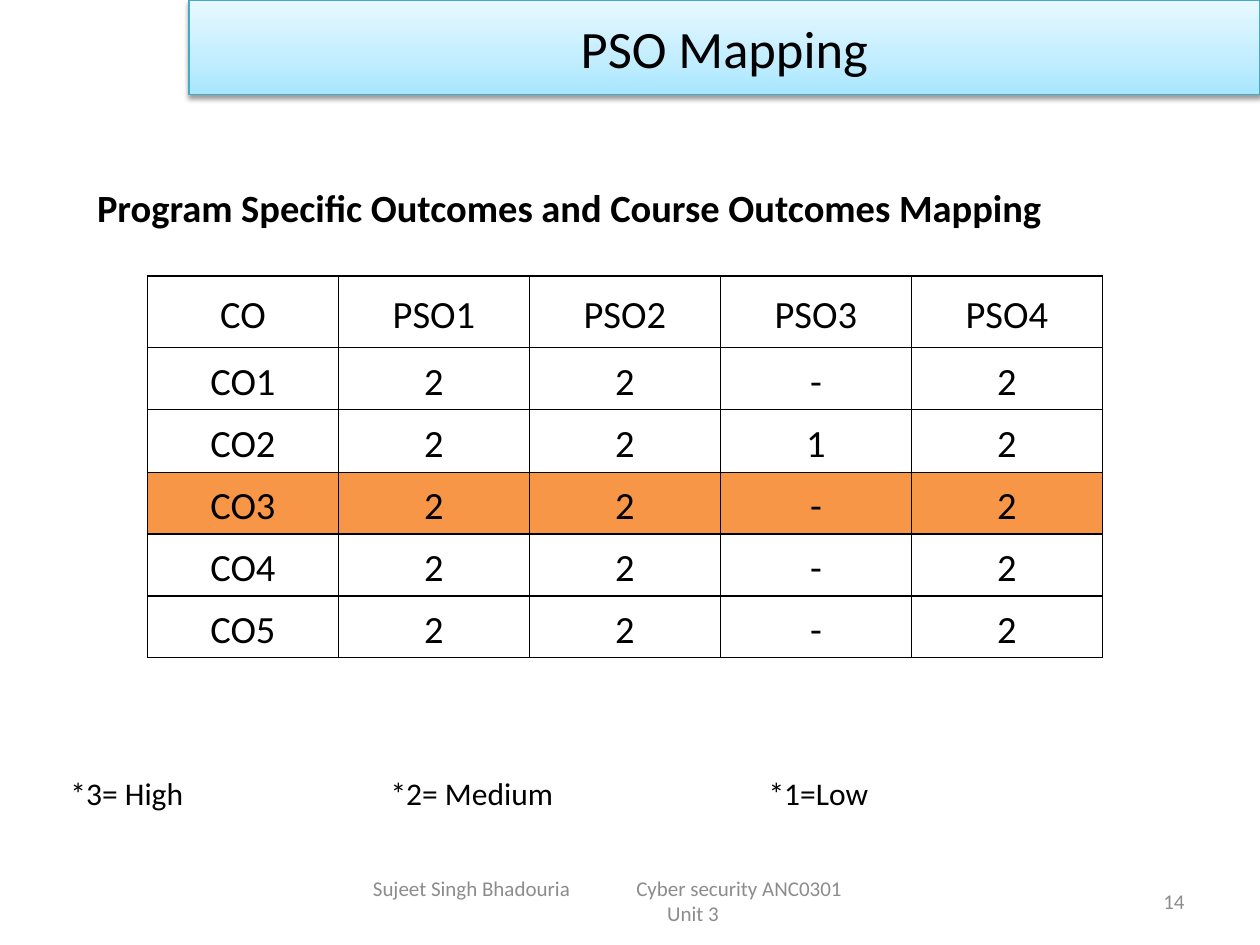
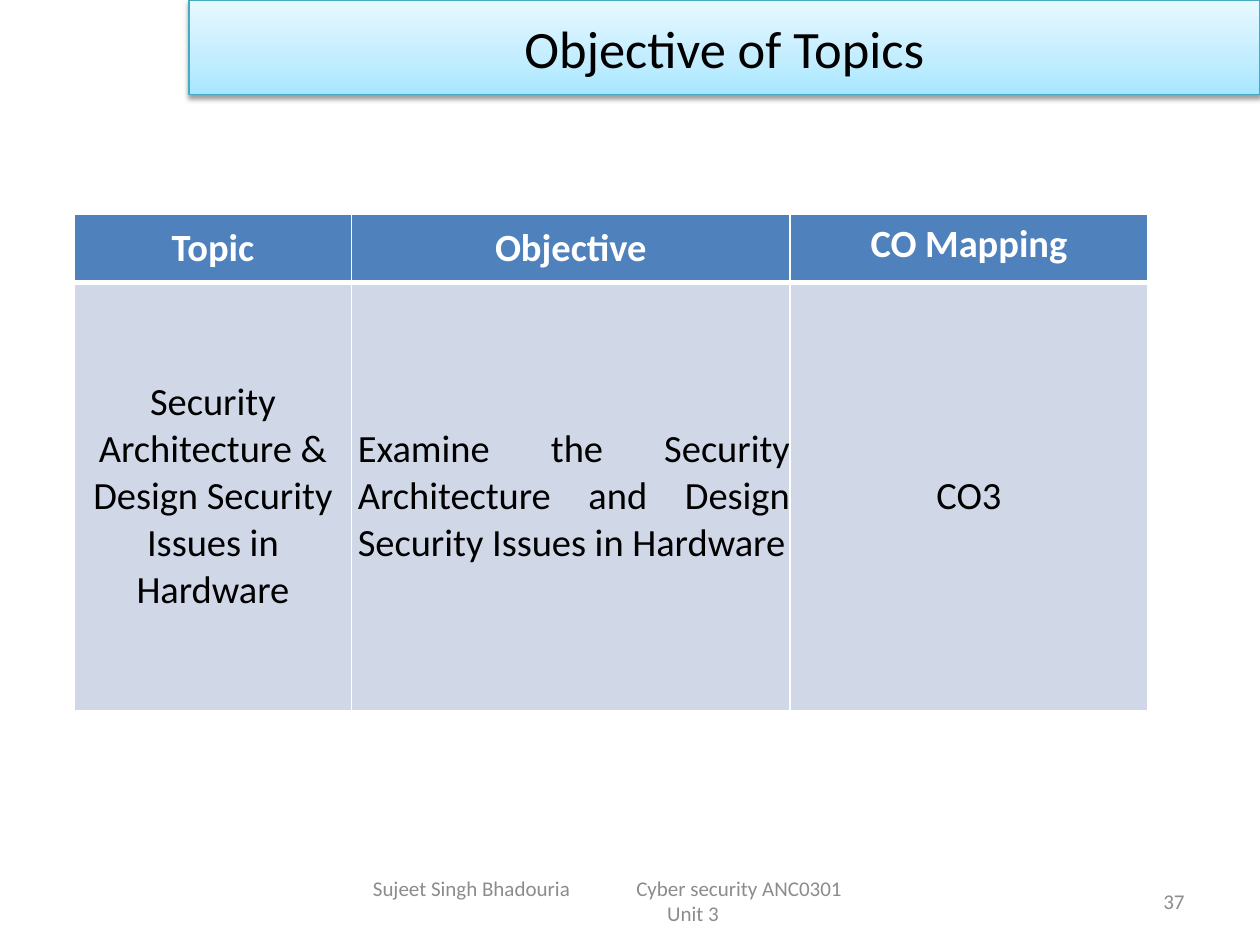
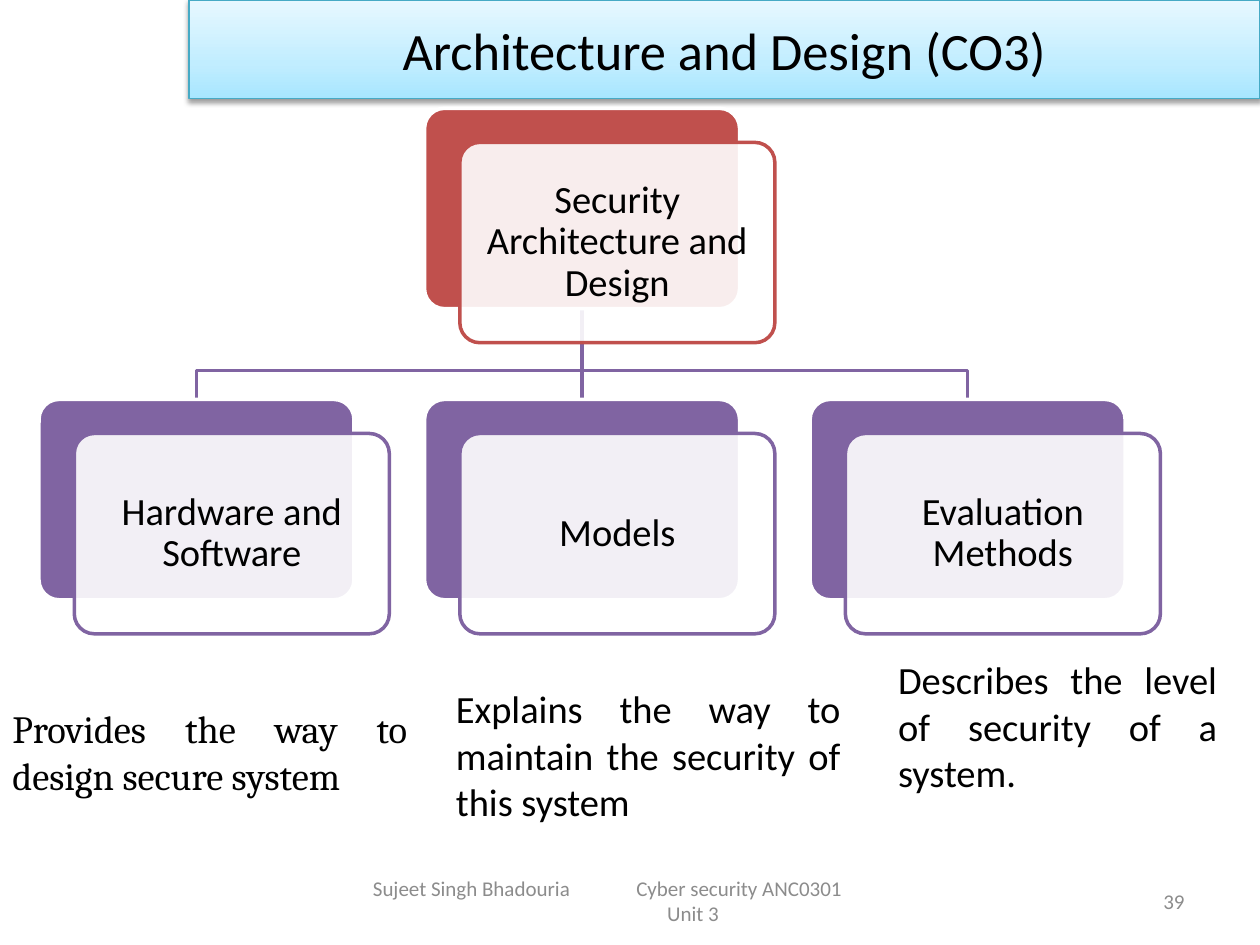
import pptx
import pptx.chart.data
import pptx.dml.color
import pptx.enum.shapes
import pptx.enum.text
import pptx.oxml
import pptx.oxml.ns
import pptx.util
from lxml import etree

Inches = pptx.util.Inches
Pt = pptx.util.Pt
qn = pptx.oxml.ns.qn
ALIGN = pptx.enum.text.PP_ALIGN
ANCHOR = pptx.enum.text.MSO_ANCHOR
SHAPE = pptx.enum.shapes.MSO_SHAPE

COLORS = {
    "black": "000000",
    "white": "FFFFFF",
    "footer": "8C8C8C",
    "band_line": "46AAC5",
    "band_dark": "A7E6FF",
    "band_middle": "C1EDFF",
    "band_light": "E7F8FF",
    "highlight": "F79646",
    "header": "4F81BD",
    "body": "D0D8E8",
    "root": "C0504D",
    "branch": "8064A2",
}
BAND_STOPS = [("band_dark", 0), ("band_middle", 0.35), ("band_light", 1)]
BODY = {"name": "Calibri", "size": Pt(22), "bold": False}
BOLD = {**BODY, "bold": True}
TITLE = {**BODY, "size": Pt(30)}
LEGEND = {**BODY, "size": Pt(18)}
FOOTER = {**BODY, "size": Pt(12)}
SERIF = {**BODY, "name": "Cambria"}
MARGINS = (0.1, 0.05, 0.1, 0.05)


def rgb(color):
    return pptx.dml.color.RGBColor.from_string(COLORS[color])


def add_element(parent, tag, **attributes):
    return etree.SubElement(parent, qn(tag), attributes)


class Deck:
    def __init__(self):
        self.presentation = pptx.Presentation()
        self.presentation.slide_width = Inches(10)
        self.presentation.slide_height = Inches(7.5)
        self.slide = None

    def new_slide(self, title, number, band_height=0.75):
        self.slide = self.presentation.slides.add_slide(self.presentation.slide_layouts[6])
        self.band(title, band_height)
        self.text(2.75, 6.95, 5.5, 0.4, "Sujeet Singh Bhadouria\tCyber security ANC0301", FOOTER,
                  color="footer", anchor=ANCHOR.MIDDLE, margins=(0.21, 0.05, 0.21, 0.05), tabs=[2.09])
        footer = self.slide.shapes[-1].text_frame
        self.paragraph(footer.add_paragraph(), "Unit 3", FOOTER, "footer", ALIGN.CENTER)
        self.text(7.17, 6.95, 2.33, 0.4, number, FOOTER, color="footer",
                  align=ALIGN.RIGHT, anchor=ANCHOR.MIDDLE)

    def paragraph(self, paragraph, text, font, color="black", align=ALIGN.LEFT, spacing=None, tabs=()):
        paragraph.text = text
        paragraph.alignment = align
        paragraph.line_spacing = spacing
        if tabs:
            tab_list = add_element(paragraph._p.get_or_add_pPr(), "a:tabLst")
            for position in tabs:
                add_element(tab_list, "a:tab", pos=str(Inches(position)), algn="l")
        for run in paragraph.runs:
            for name, value in font.items():
                setattr(run.font, name, value)
            run.font.color.rgb = rgb(color)

    def fill_frame(self, frame, text, font, anchor=ANCHOR.TOP, margins=MARGINS, **style):
        frame.word_wrap = True
        frame.vertical_anchor = anchor
        for side, margin in zip(("left", "top", "right", "bottom"), margins):
            setattr(frame, f"margin_{side}", Inches(margin))
        self.paragraph(frame.paragraphs[0], text, font, **style)

    def text(self, left, top, width, height, text, font, **style):
        box = self.slide.shapes.add_textbox(Inches(left), Inches(top), Inches(width), Inches(height))
        self.fill_frame(box.text_frame, text, font, **style)

    def shape(self, kind, left, top, width, height, line, weight):
        shape = self.slide.shapes.add_shape(kind, Inches(left), Inches(top), Inches(width), Inches(height))
        shape.shadow.inherit = False
        shape.line.color.rgb = rgb(line)
        shape.line.width = Pt(weight)
        return shape

    def band(self, title, height):
        band = self.shape(SHAPE.RECTANGLE, 1.5, 0, 8.5, height, "band_line", 0.75)
        band.fill.gradient()
        band.fill.gradient_angle = 90
        properties = band._element.spPr
        stops = properties.find(qn("a:gradFill")).find(qn("a:gsLst"))
        for stop in list(stops):
            stops.remove(stop)
        for color, position in BAND_STOPS:
            stop = add_element(stops, "a:gs", pos=str(int(position * 100000)))
            add_element(stop, "a:srgbClr", val=COLORS[color])
        shadow = add_element(properties.find(qn("a:effectLst")), "a:outerShdw", blurRad=str(Pt(3.1)),
                             dist=str(Pt(1.6)), dir="5400000", rotWithShape="0")
        shade = add_element(shadow, "a:srgbClr", val=COLORS["black"])
        add_element(shade, "a:alpha", val="38000")
        self.fill_frame(band.text_frame, title, TITLE, anchor=ANCHOR.MIDDLE, align=ALIGN.CENTER)

    def table(self, left, top, columns, rows):
        frame = self.slide.shapes.add_table(len(rows), len(columns), Inches(left), Inches(top),
                                            Inches(sum(columns)), Inches(sum(rows)))
        table = frame.table
        table.first_row = table.horz_banding = False
        for column, width in zip(table.columns, columns):
            column.width = Inches(width)
        for row, height in zip(table.rows, rows):
            row.height = Inches(height)
        return table

    def cell(self, cell, text, font, fill, border, bottom=1, anchor=ANCHOR.MIDDLE,
             margins=MARGINS, **style):
        cell.vertical_anchor = anchor
        for side, margin in zip(("left", "top", "right", "bottom"), margins):
            setattr(cell, f"margin_{side}", Inches(margin))
        properties = cell._tc.get_or_add_tcPr()
        for side, weight in zip("LRTB", (1, 1, 1, bottom)):
            line = add_element(properties, f"a:ln{side}", w=str(Pt(weight)))
            solid = add_element(line, "a:solidFill")
            add_element(solid, "a:srgbClr", val=COLORS[border])
        if fill:
            cell.fill.solid()
            cell.fill.fore_color.rgb = rgb(fill)
        else:
            cell.fill.background()
        self.paragraph(cell.text_frame.paragraphs[0], text, font, **style)

    def node(self, left, top, text, color):
        back = self.shape(SHAPE.ROUNDED_RECTANGLE, left, top, 2.5, 1.59, "white", 2)
        front = self.shape(SHAPE.ROUNDED_RECTANGLE, left + 0.28, top + 0.27, 2.5, 1.59, color, 2)
        for card, fill in ((back, color), (front, "white")):
            card.adjustments[0] = 0.1
            card.fill.solid()
            card.fill.fore_color.rgb = rgb(fill)
        solid = front._element.spPr.find(qn("a:solidFill"))
        add_element(solid[0], "a:alpha", val="90000")
        self.fill_frame(front.text_frame, text, BODY, anchor=ANCHOR.MIDDLE, margins=(0.13,) * 4,
                        align=ALIGN.CENTER, spacing=0.9)
        return back

    def send_to_back(self, shape):
        tree = self.slide.shapes._spTree
        tree.remove(shape._element)
        tree.insert(2, shape._element)

    def trunk(self, parent, child):
        trunk = self.slide.shapes.add_connector(pptx.enum.shapes.MSO_CONNECTOR.STRAIGHT, 0, 0, 0, 0)
        trunk.begin_connect(parent, 2)
        trunk.end_connect(child, 0)
        trunk.line.color.rgb = rgb("branch")
        trunk.line.width = Pt(2)
        add_element(trunk._element.spPr, "a:effectLst")
        self.send_to_back(trunk)

    def bracket(self, first, last, top):
        start, end = (node.left + node.width // 2 for node in (first, last))
        builder = self.slide.shapes.build_freeform(start, first.top)
        builder.add_line_segments([(start, Inches(top)), (end, Inches(top)), (end, last.top)], close=False)
        bracket = builder.convert_to_shape()
        bracket.shadow.inherit = False
        bracket.fill.background()
        bracket.line.color.rgb = rgb("branch")
        bracket.line.width = Pt(2)
        self.send_to_back(bracket)


def pso_mapping(deck):
    deck.new_slide("PSO Mapping", "14")
    deck.text(0.47, 1.41, 8.52, 0.42, "Program Specific Outcomes and Course Outcomes Mapping", BOLD,
              anchor=ANCHOR.MIDDLE, margins=(0.3, 0.05, 0.1, 0))
    rows = [
        ["CO", "PSO1", "PSO2", "PSO3", "PSO4"],
        ["CO1", "2", "2", "-", "2"],
        ["CO2", "2", "2", "1", "2"],
        ["CO3", "2", "2", "-", "2"],
        ["CO4", "2", "2", "-", "2"],
        ["CO5", "2", "2", "-", "2"],
    ]
    fills = {"CO1": "white", "CO3": "highlight"}
    table = deck.table(1.17, 2.19, [1.516] * 5, [0.57, 0.49, 0.5, 0.49, 0.49, 0.49])
    for row, values in enumerate(rows):
        for column, value in enumerate(values):
            deck.cell(table.cell(row, column), value, BODY, fills.get(values[0]), "black",
                      margins=(0.07, 0, 0.07, 0), align=ALIGN.CENTER, spacing=1.15)
    deck.text(0, 6.09, 9.77, 0.4, "*3= High\t*2= Medium\t*1=Low", LEGEND, anchor=ANCHOR.MIDDLE,
              margins=(0.56, 0.05, 0.1, 0.05), tabs=[2.54, 5.54])


def topic_objective(deck):
    deck.new_slide("Objective of Topics", "37")
    table = deck.table(0.59, 1.7, [2.2, 3.48, 2.84], [0.54, 3.4])
    flush = (0, 0, 0, 0)
    headers = [
        ("Topic", ANCHOR.MIDDLE, flush),
        ("Objective", ANCHOR.MIDDLE, flush),
        ("CO Mapping", ANCHOR.TOP, MARGINS),
    ]
    for column, (text, anchor, margins) in enumerate(headers):
        deck.cell(table.cell(0, column), text, BOLD, "header", "white", bottom=3, anchor=anchor,
                  margins=margins, color="white", align=ALIGN.CENTER)
    details = [
        ("Security Architecture & Design Security Issues in Hardware", ALIGN.CENTER, flush),
        ("Examine the Security Architecture and Design Security Issues in Hardware",
         ALIGN.JUSTIFY, (0.05, 0, 0, 0)),
        ("CO3", ALIGN.CENTER, MARGINS),
    ]
    for column, (text, align, margins) in enumerate(details):
        deck.cell(table.cell(1, column), text, BODY, "body", "white", margins=margins, align=align)


def architecture(deck):
    deck.new_slide("Architecture and Design (CO3)", "39", band_height=0.78)
    root = deck.node(3.37, 0.86, "Security Architecture and Design", "root")
    labels = ["Hardware and Software", "Models", "Evaluation Methods"]
    branches = [deck.node(0.31 + 3.06 * index, 3.17, label, "branch")
                for index, label in enumerate(labels)]
    deck.trunk(root, branches[1])
    deck.bracket(branches[0], branches[2], 2.94)
    descriptions = [
        (0, 5.55, 3.33, 0.84, "Provides the way to design secure system", SERIF),
        (3.52, 5.39, 3.25, 1.21, "Explains the way to maintain the security of this system", BODY),
        (7.03, 5.16, 2.73, 1.21, "Describes the level of security of a system.", BODY),
    ]
    for description in descriptions:
        deck.text(*description, align=ALIGN.JUSTIFY)


def main():
    deck = Deck()
    pso_mapping(deck)
    topic_objective(deck)
    architecture(deck)
    deck.presentation.save("out.pptx")


if __name__ == "__main__":
    main()
